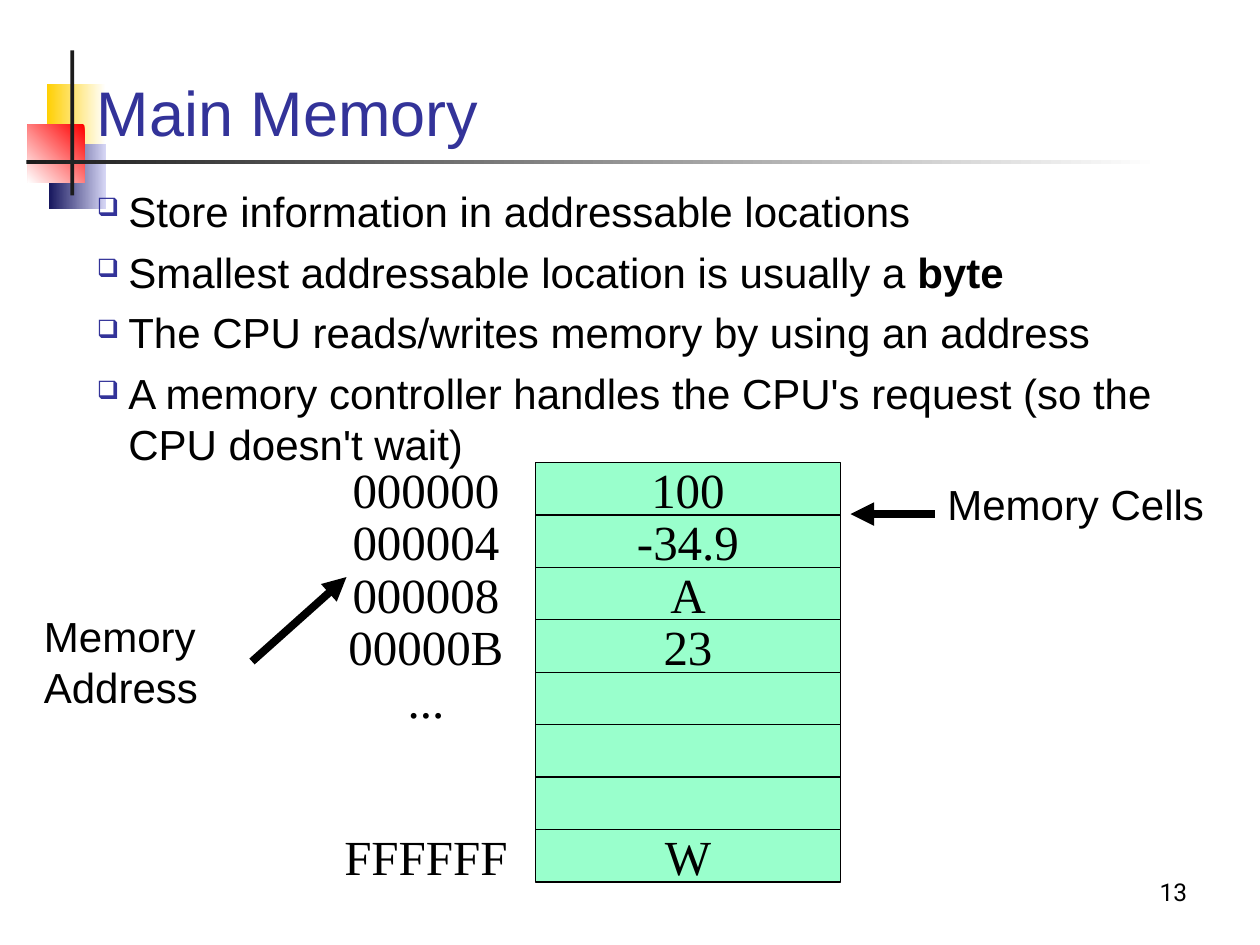
from lxml.etree import SubElement
from pptx import Presentation
from pptx.dml.color import RGBColor
from pptx.enum.shapes import MSO_CONNECTOR as Connector, MSO_SHAPE as Shape
from pptx.enum.text import MSO_ANCHOR as Anchor, PP_ALIGN as Align
from pptx.oxml.ns import qn
from pptx.util import Inches, Pt

BLACK = RGBColor(0x00, 0x00, 0x00)
WHITE = RGBColor(0xFF, 0xFF, 0xFF)
INDIGO = RGBColor(0x33, 0x33, 0x99)
YELLOW = RGBColor(0xFF, 0xCF, 0x01)
NAVY = RGBColor(0x17, 0x17, 0x5E)
LAVENDER = RGBColor(0xD6, 0xD6, 0xF5)
RED = RGBColor(0xFF, 0x00, 0x00)
CHARCOAL = RGBColor(0x1C, 0x1C, 0x1C)
MINT = RGBColor(0x99, 0xFF, 0xCC)

SANS, SERIF, NUMBER = "Arial", "Times New Roman", "Roboto"

BULLETS = [
    ["Store information in addressable locations"],
    ["Smallest addressable location is usually a ", "byte"],
    ["The CPU reads/writes memory by using an address"],
    ["A memory controller handles the CPU's request (so the CPU doesn't wait)"],
]
MEMORY = [
    ("000000", "100"), ("000004", "-34.9"), ("000008", "A"), ("00000B", "23"),
    ("...", ""), ("", ""), ("", ""), ("FFFFFF", "W"),
]
MEMORY_TOP, MEMORY_HEIGHT = 3.67, 3.33
COLUMN_WIDTH = 2.42
ADDRESS_LEFT, CELL_LEFT = 2.17, 4.25


def style(para, size, font=SANS, color=BLACK, align=Align.LEFT):
    para.font.size = Pt(size)
    para.font.name = font
    para.font.color.rgb = color
    para.alignment = align


def add_rectangle(slide, place, color):
    box = slide.shapes.add_shape(Shape.RECTANGLE, *map(Inches, place))
    box.shadow.inherit = False
    box.fill.solid()
    box.fill.fore_color.rgb = color
    box.line.fill.background()
    return box


def add_gradient(slide, place, first, last, angle=0):
    box = add_rectangle(slide, place, first)
    box.fill.gradient()
    box.fill.gradient_angle = angle
    for stop, color in zip(box.fill.gradient_stops, (first, last)):
        stop.color.rgb = color


def add_text(slide, place, lines, size, anchor=Anchor.TOP, wrap=True, **look):
    box = slide.shapes.add_textbox(*map(Inches, place))
    frame = box.text_frame
    frame.word_wrap = wrap
    frame.vertical_anchor = anchor
    frame.text = lines
    for para in frame.paragraphs:
        style(para, size, **look)


def add_bullet(para):
    properties = para._p.get_or_add_pPr()
    properties.set("marL", str(Inches(0.25)))
    properties.set("indent", str(Inches(-0.25)))
    color = SubElement(properties, qn("a:buClr"))
    SubElement(color, qn("a:srgbClr"), val=str(INDIGO))
    SubElement(properties, qn("a:buSzPct"), val="60000")
    SubElement(properties, qn("a:buChar"), char="❑")


def add_bullet_list(slide, place, items):
    frame = slide.shapes.add_textbox(*map(Inches, place)).text_frame
    frame.word_wrap = True
    for index, (plain, *strong) in enumerate(items):
        para = frame.add_paragraph() if index else frame.paragraphs[0]
        para.space_before = Pt(6)
        add_bullet(para)
        style(para, 24)
        para.add_run().text = plain
        for words in strong:
            span = para.add_run()
            span.text = words
            span.font.bold = True


def add_arrow(slide, start, end):
    arrow = slide.shapes.add_connector(Connector.STRAIGHT, *map(Inches, start + end))
    arrow.line.color.rgb = BLACK
    arrow.line.width = Pt(4.5)
    SubElement(arrow.line._get_or_add_ln(), qn("a:tailEnd"), type="triangle")
    SubElement(arrow._element.spPr, qn("a:effectLst"))


def add_cell(slide, place, value):
    cell = add_rectangle(slide, place, MINT)
    cell.line.color.rgb = BLACK
    cell.line.width = Pt(0.75)
    frame = cell.text_frame
    frame.word_wrap = False
    frame.vertical_anchor = Anchor.MIDDLE
    if value:
        frame.text = value
        style(frame.paragraphs[0], 28, SERIF, align=Align.CENTER)


def add_memory(slide):
    height = MEMORY_HEIGHT / len(MEMORY)
    for row, (address, value) in enumerate(MEMORY):
        top = MEMORY_TOP + row * height
        add_cell(slide, (CELL_LEFT, top, COLUMN_WIDTH, height), value)
        if address:
            add_text(slide, (ADDRESS_LEFT, top, COLUMN_WIDTH, height), address, 28,
                     Anchor.MIDDLE, wrap=False, font=SERIF, align=Align.CENTER)


def add_ornament(slide):
    add_gradient(slide, (0.37, 0.67, 0.47, 0.52), YELLOW, WHITE)
    add_gradient(slide, (0.39, 1.14, 0.45, 0.52), NAVY, LAVENDER)
    add_gradient(slide, (0.22, 0.99, 0.45, 0.46), RED, WHITE, angle=225)
    add_rectangle(slide, (0.56, 0.4, 0.03, 1.15), CHARCOAL)
    add_gradient(slide, (0.21, 1.27, 9, 0.03), CHARCOAL, WHITE)


def main():
    deck = Presentation()
    deck.slide_width, deck.slide_height = Inches(10), Inches(7.5)
    slide = deck.slides.add_slide(deck.slide_layouts[6])

    add_ornament(slide)
    add_text(slide, (0.67, 0.28, 8.66, 0.95), "Main Memory", 36, Anchor.BOTTOM, color=INDIGO)
    add_bullet_list(slide, (0.67, 1.42, 8.66, 4.88), BULLETS)
    add_memory(slide)
    add_text(slide, (7.42, 3.75, 2.24, 0.5), "Memory Cells", 24, wrap=False)
    add_arrow(slide, (7.42, 4.08), (6.75, 4.08))
    add_text(slide, (0.25, 4.8, 1.49, 0.9), "Memory\nAddress", 24, wrap=False)
    add_arrow(slide, (2, 5.25), (2.75, 4.58))
    add_text(slide, (7.44, 6.74, 2.08, 0.5), "13", 14, Anchor.BOTTOM,
             font=NUMBER, align=Align.RIGHT)

    deck.save("out.pptx")


if __name__ == "__main__":
    main()
